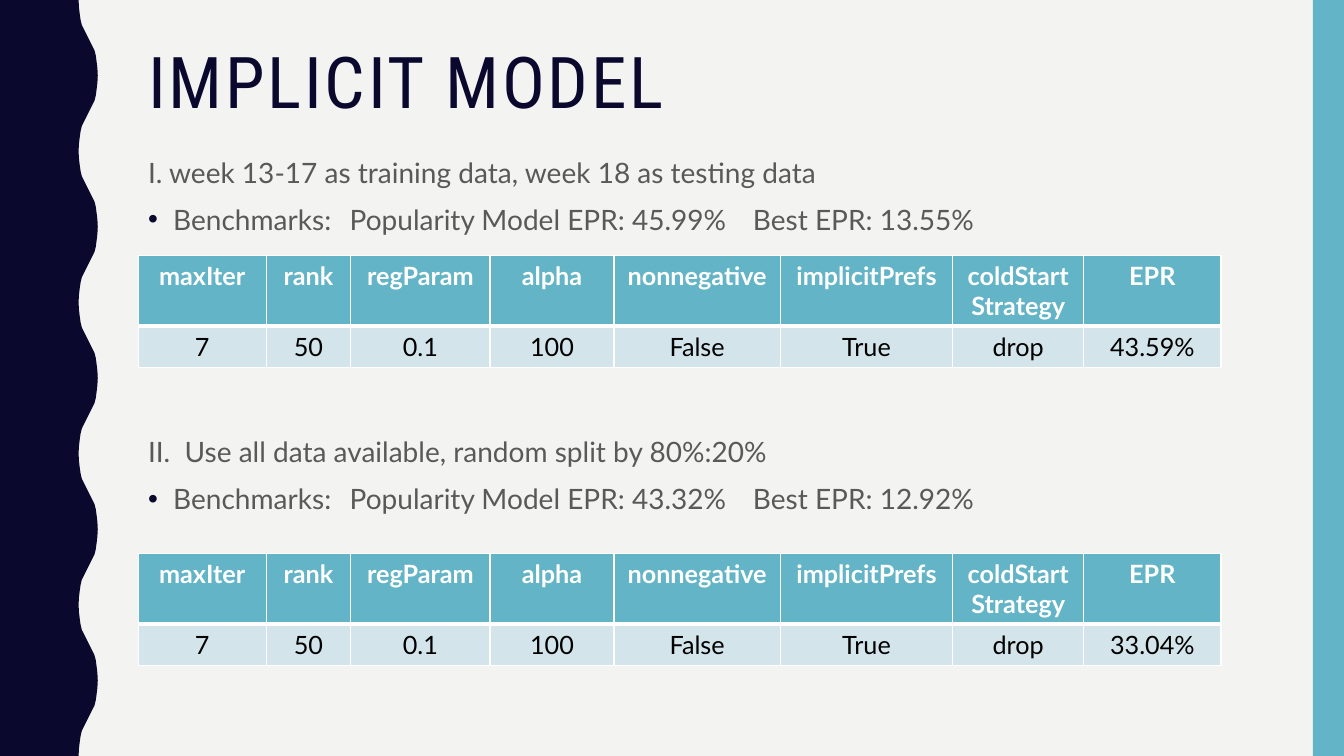
"""Build the slide on the implicit model: two benchmarks, each with its table."""
from dataclasses import dataclass
from lxml.etree import SubElement
from pptx import Presentation
from pptx.dml.color import RGBColor
from pptx.enum.shapes import MSO_SHAPE
from pptx.enum.text import PP_ALIGN
from pptx.oxml.ns import qn
from pptx.util import Inches, Pt


@dataclass(frozen=True)
class Theme:
    paper: str = "F3F3F2"
    navy: str = "0B082E"
    teal: str = "62B4C6"
    pale: str = "D3E5EA"
    gray: str = "595959"
    white: str = "FFFFFF"
    black: str = "000000"
    head: str = "Roboto Condensed"
    text: str = "Lato"
    large: int = 51
    mid: int = 20
    small: int = 18


def write(para, text, size=Theme.mid, font=Theme.text, color=Theme.gray, bold=False,
          align=PP_ALIGN.LEFT, lead=1.0, before=0, track=0, dot=False):
    para.text = text
    para.alignment, para.line_spacing, para.space_before = align, lead, Pt(before)
    for run in para.runs:
        face = run.font
        face.size, face.name, face.bold = Pt(size), font, bold
        face.color.rgb = RGBColor.from_string(color)
        if track:
            run._r.get_or_add_rPr().set("spc", str(track * 100))
    if dot:
        props = para._p.get_or_add_pPr()
        props.set("marL", str(Inches(0.25)))
        props.set("indent", str(-Inches(0.25)))
        tint = SubElement(props, qn("a:buClr"))
        SubElement(tint, qn("a:srgbClr"), val=Theme.navy)
        SubElement(props, qn("a:buFont"), typeface="Arial")
        SubElement(props, qn("a:buChar"), char="•")


def grid(*spans):
    return [round(span * unit) for span in spans]


deck = Presentation()
deck.slide_width, deck.slide_height = Inches(13.33), Inches(7.5)
unit = deck.slide_height / 90
slide = deck.slides.add_slide(deck.slide_layouts[6])
slide.background.fill.solid()
slide.background.fill.fore_color.rgb = RGBColor.from_string(Theme.paper)

bend = [(9.36, 0), (9.4, 0.84), (9.5, 1.68), (9.6, 2.4),
        (9.75, 3), (10, 3.5), (10.25, 4), (10.5, 4.5)]
half = bend + [(21 - x, 9 - y) for x, y in reversed(bend[:-1])]
wave = half + [(x, 18 - y) for x, y in reversed(half[:-1])]
edge = [grid(x, y + 18 * turn) for turn in range(5) for x, y in wave]
pen = slide.shapes.build_freeform(0, 0)
pen.add_line_segments(edge + [grid(0, 90)], close=True)
strip = slide.shapes.add_shape(MSO_SHAPE.RECTANGLE, *grid(156.24, 0, 3.72, 90))
for shape, color in ((pen.convert_to_shape(), Theme.navy), (strip, Theme.teal)):
    shape.shadow.inherit = False
    shape.fill.solid()
    shape.fill.fore_color.rgb = RGBColor.from_string(color)
    shape.line.fill.background()

left, wide = 16.44, 133.56
title = slide.shapes.add_textbox(*grid(left, 5, wide, 19.5)).text_frame
body = slide.shapes.add_textbox(*grid(left, 17.5, wide, 63.6)).text_frame
title.word_wrap = body.word_wrap = True
write(title.paragraphs[0], "IMPLICIT MODEL", size=Theme.large, font=Theme.head,
      color=Theme.navy, lead=0.9, track=2)

heads = ["maxIter", "rank", "regParam", "alpha", "nonnegative",
         "implicitPrefs", "coldStart\vStrategy", "EPR"]
fixed = ["7", "50", "0.1", "100", "False", "True", "drop"]
widths = grid(15.24, 10.08, 16.56, 14.76, 19.8, 20.52, 15.6, 16.32)
looks = [(Theme.teal, Theme.white, True, {"L": 1, "R": 1, "T": 1, "B": 3}),
         (Theme.pale, Theme.black, False, {"L": 1, "R": 1, "T": 3, "B": 1})]
parts = [
    ("I. week 13-17 as training data, week 18 as testing data", 7,
     "Benchmarks:\tPopularity Model EPR: 45.99%\tBest EPR: 13.55%", 30.44, "43.59%"),
    ("II.  Use all data available, random split by 80%:20%", 140,
     "Benchmarks:\tPopularity Model EPR: 43.32%\tBest EPR: 12.92%", 65.92, "33.04%"),
]
for part, (topic, gap, marks, top, score) in enumerate(parts):
    para = body.add_paragraph() if part else body.paragraphs[0]
    write(para, topic, lead=1.1, before=gap)
    write(body.add_paragraph(), marks, lead=1.1, before=7, dot=True)

    table = slide.shapes.add_table(2, len(heads), *grid(left, top, 128.88, 13.32)).table
    table.horz_banding = False
    for column, width in zip(table.columns, widths):
        column.width = width
    for row, height in zip(table.rows, grid(8.4, 4.92)):
        row.height = height
    for row, words, look in zip(table.rows, (heads, fixed + [score]), looks):
        back, ink, bold, rules = look
        for cell, word in zip(row.cells, words):
            props = cell._tc.get_or_add_tcPr()
            for side, weight in rules.items():
                line = SubElement(props, qn("a:ln" + side), w=str(Pt(weight)))
                paint = SubElement(line, qn("a:solidFill"))
                SubElement(paint, qn("a:srgbClr"), val=Theme.white)
            cell.fill.solid()
            cell.fill.fore_color.rgb = RGBColor.from_string(back)
            write(cell.text_frame.paragraphs[0], word, size=Theme.small,
                  color=ink, bold=bold, align=PP_ALIGN.CENTER)

deck.save("out.pptx")
